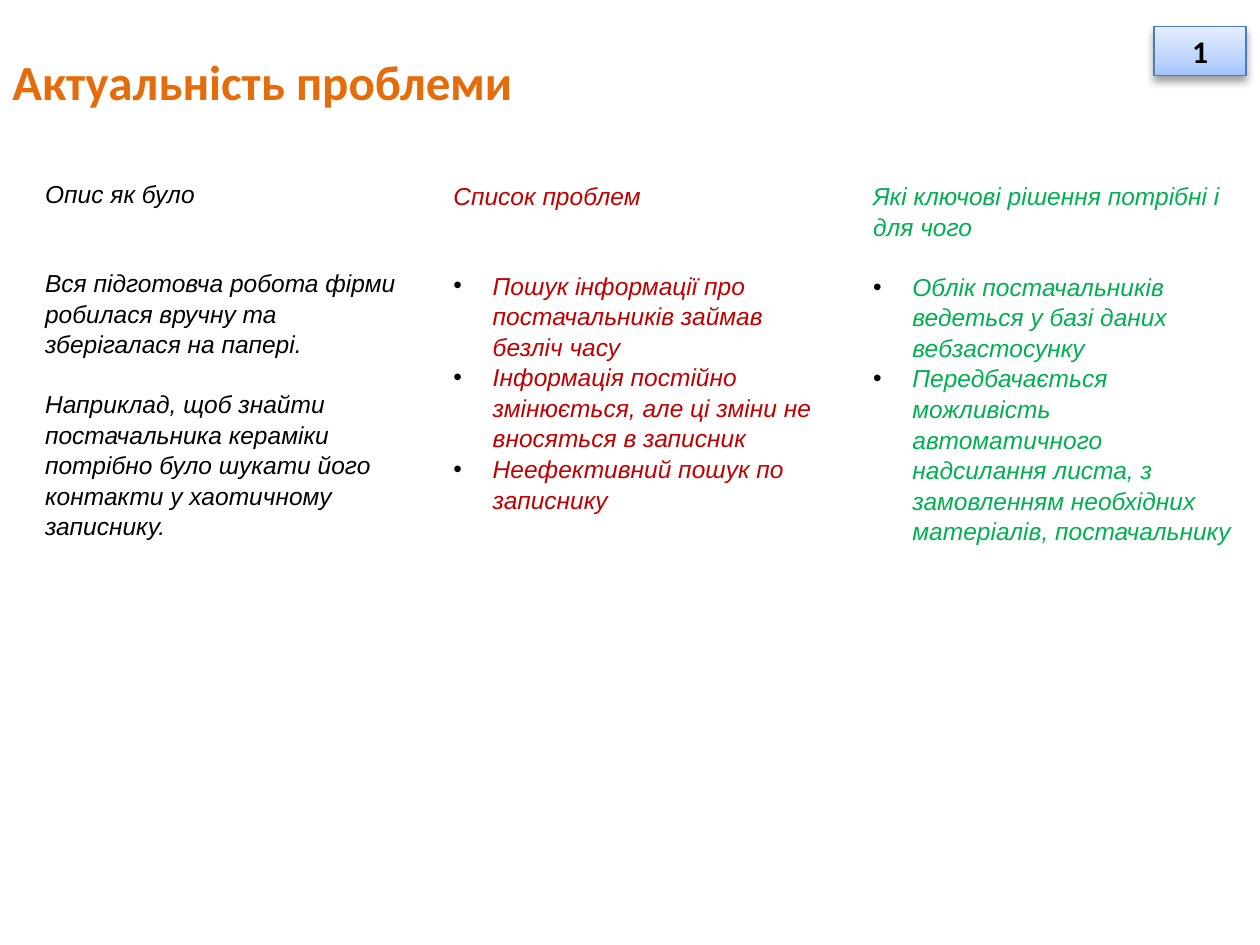
from lxml.etree import SubElement
from pptx import Presentation
from pptx.dml.color import RGBColor
from pptx.enum.shapes import MSO_SHAPE
from pptx.enum.text import MSO_ANCHOR, PP_ALIGN
from pptx.oxml.ns import qn
from pptx.util import Pt

COLORS = {
    "title": "E46C0A",
    "text": "000000",
    "problem": "C00000",
    "solution": "00B050",
    "badge_line": "4A7EBB",
    "badge_bottom": "A3C4FF",
    "badge_middle": "BFD5FF",
    "badge_top": "E5EEFF",
}
LINE_HEIGHT = 16.8
BULLET_INDENT = 22.5

# left, top, color, heading, blank lines below the heading, bulleted, items, lines between items
COLUMNS = [
    (18.7, 97.9, "text", "Опис як було", 2, False, [
        "Вся підготовча робота фірми робилася вручну та зберігалася на папері.",
        "Наприклад, щоб знайти постачальника кераміки потрібно було шукати "
        "його контакти у хаотичному записнику.",
    ], 1),
    (252, 99.4, "problem", "Список проблем", 2, True, [
        "Пошук інформації про постачальників займав безліч часу",
        "Інформація постійно змінюється, але ці зміни не вносяться в записник",
        "Неефективний пошук по записнику",
    ], 0),
    (491.8, 99.4, "solution", "Які ключові рішення потрібні і для чого", 1, True, [
        "Облік постачальників ведеться у базі даних вебзастосунку",
        "Передбачається можливість автоматичного надсилання листа, "
        "з замовленням необхідних матеріалів, постачальнику",
    ], 0),
]


def set_font(paragraph, name, size, color, bold=False, italic=False):
    font = paragraph.font
    font.name = name
    font.size = Pt(size)
    font.bold = bold
    font.italic = italic
    font.color.rgb = RGBColor.from_string(COLORS[color])


def add_bullet(paragraph):
    properties = paragraph._p.get_or_add_pPr()
    properties.set("marL", str(Pt(BULLET_INDENT)))
    properties.set("indent", str(-Pt(BULLET_INDENT)))
    bullet_color = SubElement(properties, qn("a:buClr"))
    SubElement(bullet_color, qn("a:srgbClr"), val=COLORS["text"])
    SubElement(properties, qn("a:buFont"), typeface="Arial")
    SubElement(properties, qn("a:buChar"), char="•")


def add_text_box(slide, left, top, width, height):
    frame = slide.shapes.add_textbox(Pt(left), Pt(top), Pt(width), Pt(height)).text_frame
    frame.word_wrap = True
    return frame


def add_title(slide, text):
    frame = add_text_box(slide, 0, 15.1, 649.4, 61.9)
    frame.vertical_anchor = MSO_ANCHOR.MIDDLE
    paragraph = frame.paragraphs[0]
    paragraph.text = text
    set_font(paragraph, "Calibri", 28, "title", bold=True)


def add_column(slide, left, top, color, heading, heading_gap, bulleted, items, item_gap):
    frame = add_text_box(slide, left, top, 223.2, 234.7)
    for index, text in enumerate([heading, *items]):
        paragraph = frame.paragraphs[0] if index == 0 else frame.add_paragraph()
        paragraph.text = text
        paragraph.line_spacing = 1.04
        if index:
            gap = heading_gap if index == 1 else item_gap
            paragraph.space_before = Pt(gap * LINE_HEIGHT)
            if bulleted:
                add_bullet(paragraph)
        set_font(paragraph, "Arial", 14, color, italic=True)


def fill_badge(shape):
    """Give the shape a three-stop gradient that runs upwards."""
    shape.fill.gradient()
    shape.fill.gradient_angle = 90
    stops = shape._element.spPr.find(qn("a:gradFill")).find(qn("a:gsLst"))
    for stop in list(stops):
        stops.remove(stop)
    for percent, color in [(0, "badge_bottom"), (35, "badge_middle"), (100, "badge_top")]:
        stop = SubElement(stops, qn("a:gs"), pos=str(percent * 1000))
        SubElement(stop, qn("a:srgbClr"), val=COLORS[color])


def add_shadow(shape):
    shape.shadow.inherit = False
    effects = shape._element.spPr.find(qn("a:effectLst"))
    shadow = SubElement(effects, qn("a:outerShdw"), blurRad=str(Pt(5)), dist=str(Pt(3)),
                        dir="5400000", rotWithShape="0")
    shadow_color = SubElement(shadow, qn("a:srgbClr"), val=COLORS["text"])
    SubElement(shadow_color, qn("a:alpha"), val="39000")


def add_badge(slide, number):
    badge = slide.shapes.add_shape(MSO_SHAPE.RECTANGLE, Pt(659.5), Pt(15.1), Pt(52.6), Pt(28.1))
    fill_badge(badge)
    badge.line.color.rgb = RGBColor.from_string(COLORS["badge_line"])
    badge.line.width = Pt(0.75)
    add_shadow(badge)
    badge.text_frame.vertical_anchor = MSO_ANCHOR.MIDDLE
    paragraph = badge.text_frame.paragraphs[0]
    paragraph.text = number
    paragraph.alignment = PP_ALIGN.CENTER
    set_font(paragraph, "Calibri", 18, "text", bold=True)


def main():
    presentation = Presentation()
    presentation.slide_width = Pt(720)
    presentation.slide_height = Pt(540)
    slide = presentation.slides.add_slide(presentation.slide_layouts[6])
    add_title(slide, "Актуальність проблеми")
    add_badge(slide, "1")
    for column in COLUMNS:
        add_column(slide, *column)
    presentation.save("out.pptx")


if __name__ == "__main__":
    main()
